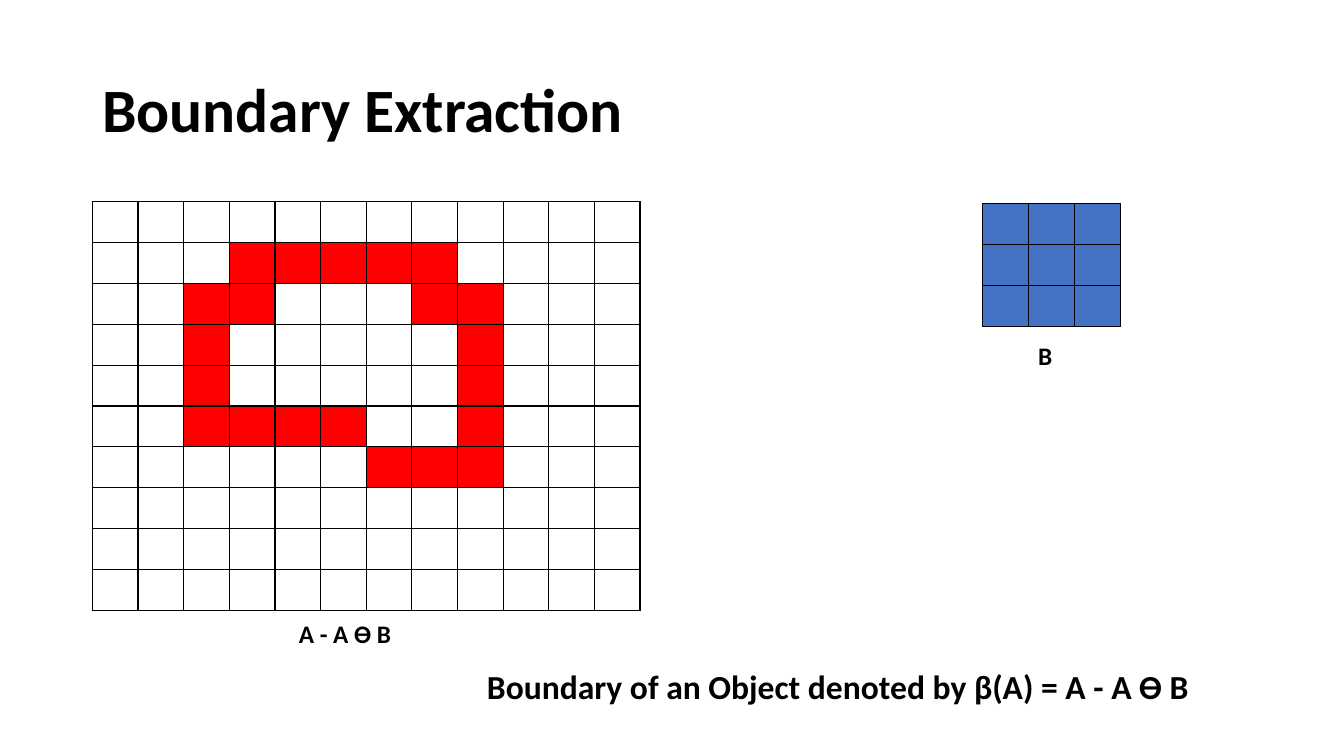
from dataclasses import dataclass

from lxml.etree import SubElement
from pptx import Presentation
from pptx.dml.color import RGBColor
from pptx.enum.text import MSO_ANCHOR, PP_ALIGN
from pptx.oxml.ns import qn
from pptx.util import Emu, Pt

PX = 9525  # EMU in one px, 96 px to the inch
COLORS = {"text": "000000", "grid": "000000", "boundary": "FF0000", "element": "4472C4"}
CELL_FILLS = {"#": "boundary", "B": "element"}
BORDERS = ("a:lnL", "a:lnR", "a:lnT", "a:lnB")


@dataclass
class Label:
    text: str
    box: tuple[int, int, int, int]
    size: int
    align: PP_ALIGN = PP_ALIGN.CENTER
    spacing: float = 1.0


@dataclass
class Grid:
    pattern: list[str]
    box: tuple[int, int, int, int]


LABELS = [
    Label("Boundary Extraction", (88, 38, 1104, 139), 44, PP_ALIGN.LEFT, 0.9),
    Label("A - A Ɵ B", (238, 555, 181, 96), 18),
    Label("B", (905, 291, 181, 96), 18),
    Label("Boundary of an Object denoted by β(A) = A - A Ɵ B", (451, 605, 694, 96), 24),
]

BOUNDARY = [
    "............",
    "...#####....",
    "..##...##...",
    "..#.....#...",
    "..#.....#...",
    "..####..#...",
    "......###...",
    "............",
    "............",
    "............",
]
GRIDS = [
    Grid(BOUNDARY, (88, 192, 522, 389)),
    Grid(["BBB"] * 3, (936, 194, 131, 117)),
]


def rgb(name: str) -> RGBColor:
    return RGBColor.from_string(COLORS[name])


def to_emu(box: tuple[int, int, int, int]) -> list[Emu]:
    return [Emu(length * PX) for length in box]


def add_label(s, label: Label) -> None:
    tf = s.shapes.add_textbox(*to_emu(label.box)).text_frame
    tf.word_wrap = True
    tf.vertical_anchor = MSO_ANCHOR.MIDDLE
    p = tf.paragraphs[0]
    p.alignment = label.align
    p.line_spacing = label.spacing
    r = p.add_run()
    r.text = label.text
    font_format = {"name": "Calibri", "size": Pt(label.size), "bold": True}
    for attribute, value in font_format.items():
        setattr(r.font, attribute, value)
    r.font.color.rgb = rgb("text")


def add_borders(cell) -> None:
    tc_pr = cell._tc.get_or_add_tcPr()
    for tag in BORDERS:
        line = SubElement(tc_pr, qn(tag), w=str(Pt(1)))
        fill = SubElement(line, qn("a:solidFill"))
        SubElement(fill, qn("a:srgbClr"), val=COLORS["grid"])


def add_grid(s, grid: Grid) -> None:
    rows, cols = len(grid.pattern), len(grid.pattern[0])
    table = s.shapes.add_table(rows, cols, *to_emu(grid.box)).table
    table.first_row = table.horz_banding = False
    for i, marks in enumerate(grid.pattern):
        for j, mark in enumerate(marks):
            cell = table.cell(i, j)
            add_borders(cell)
            if mark in CELL_FILLS:
                cell.fill.solid()
                cell.fill.fore_color.rgb = rgb(CELL_FILLS[mark])
            else:
                cell.fill.background()


def main() -> None:
    prs = Presentation()
    prs.slide_width, prs.slide_height = Emu(1280 * PX), Emu(720 * PX)
    s = prs.slides.add_slide(prs.slide_layouts[6])

    # Pixel grids: extracted boundary and structuring element
    for grid in GRIDS:
        add_grid(s, grid)

    # Title, captions and formula
    for label in LABELS:
        add_label(s, label)

    prs.save("out.pptx")


if __name__ == "__main__":
    main()
